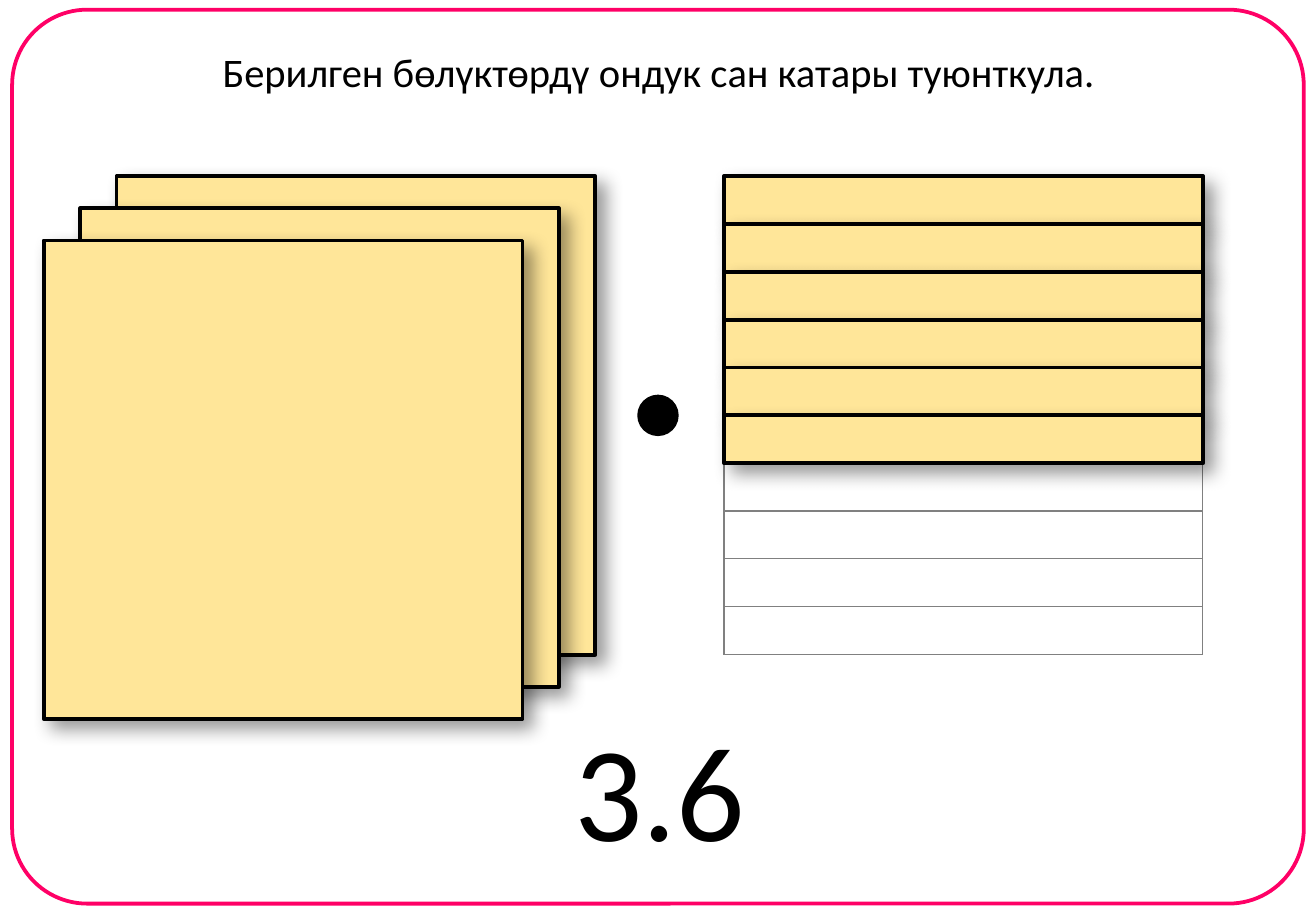
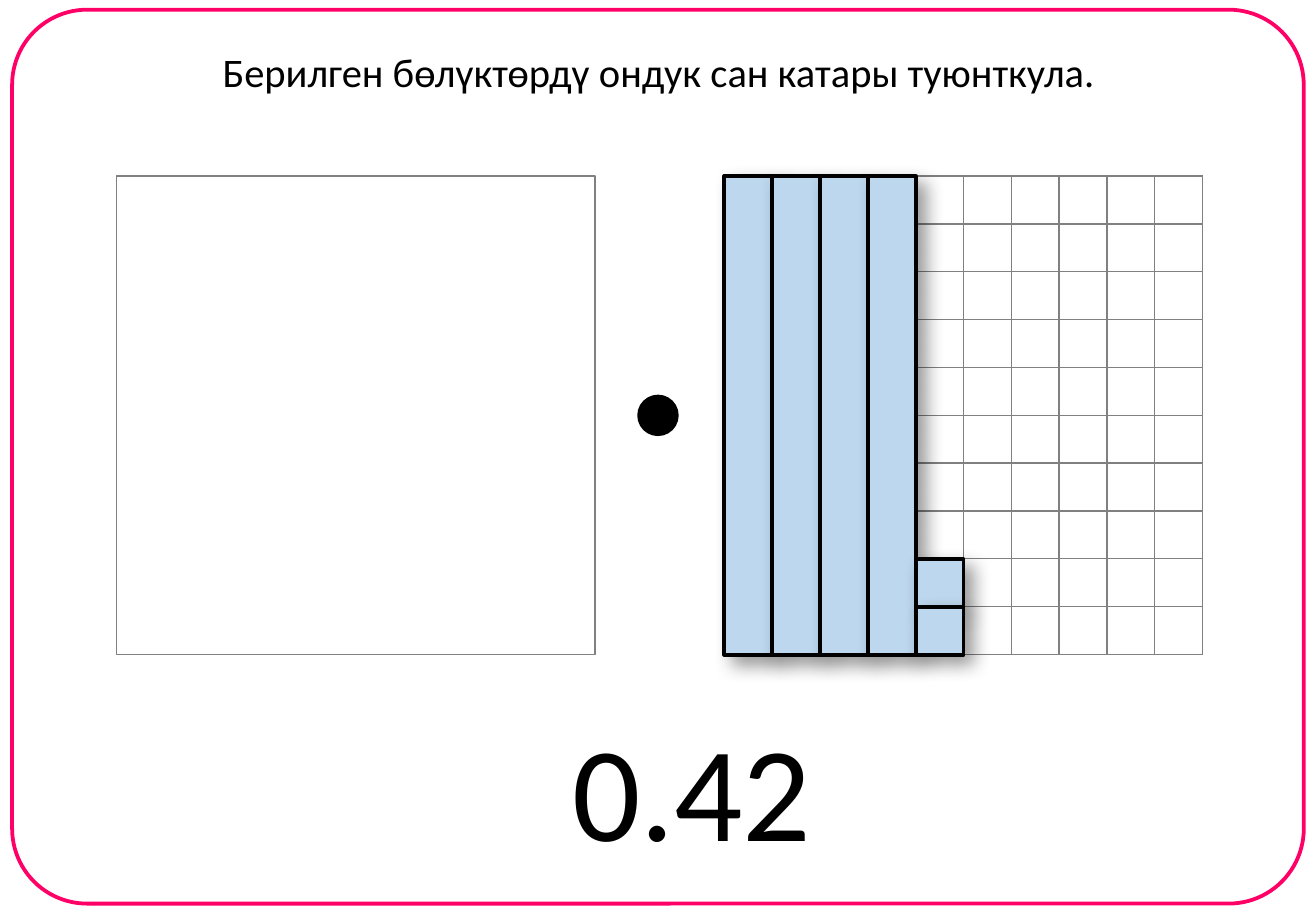
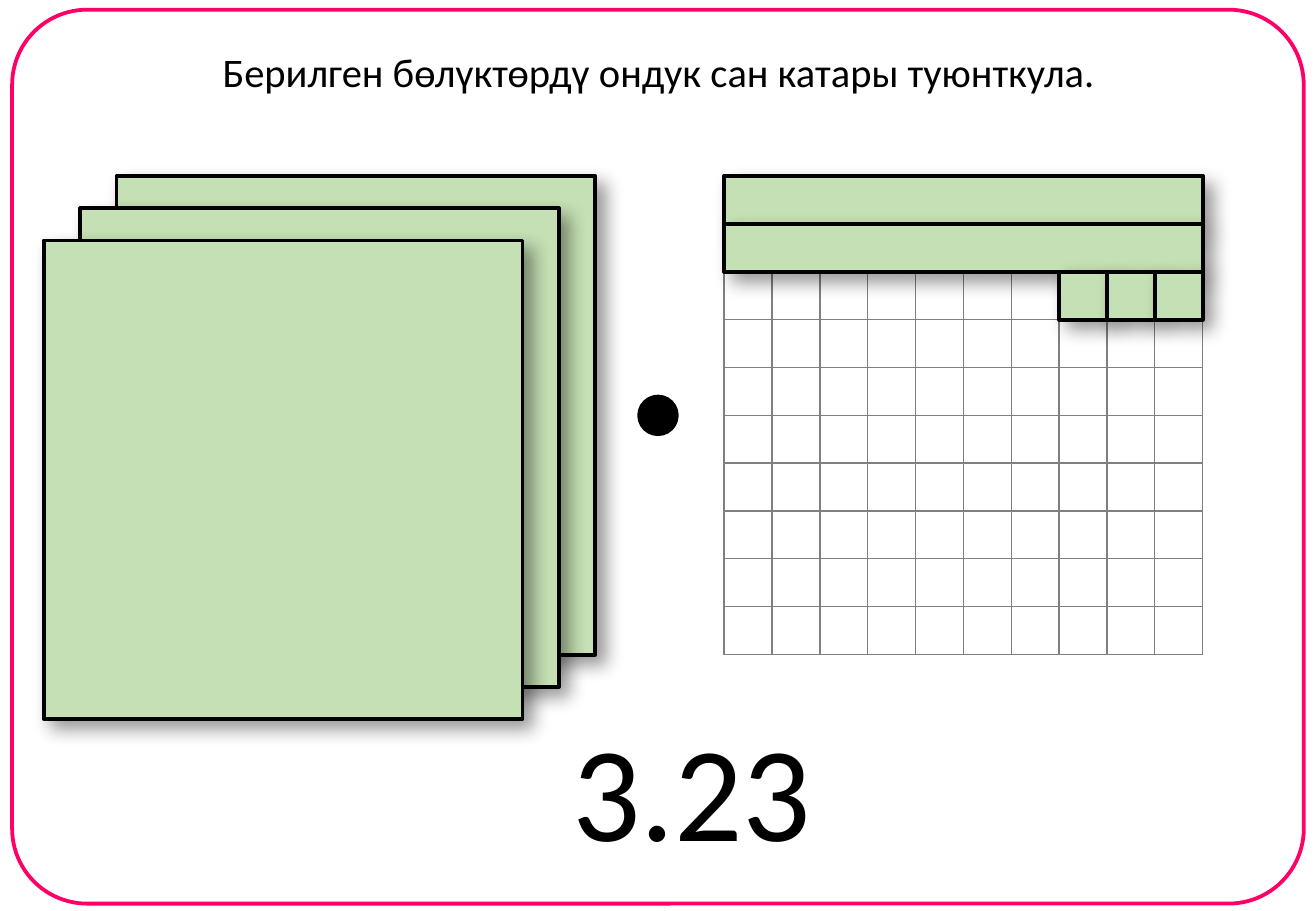
from dataclasses import dataclass

from lxml.etree import SubElement
from pptx import Presentation
from pptx.dml.color import RGBColor
from pptx.enum.shapes import MSO_SHAPE
from pptx.enum.text import MSO_AUTO_SIZE, PP_ALIGN
from pptx.oxml.ns import qn
from pptx.shapes.autoshape import Shape
from pptx.slide import Slide
from pptx.table import _Cell
from pptx.util import Inches, Pt

COLOURS = {
    "frame": "FF0066",
    "ink": "000000",
    "grid": "808080",
    "paper": "FFFFFF",
    "yellow": "FFE699",
    "blue": "BDD7EE",
    "green": "C5E0B4",
}
FONT = "Calibri"
INSTRUCTION = "Берилген бөлүктөрдү ондук сан катары туюнткула."

SLIDE_WIDTH, SLIDE_HEIGHT = 10.83, 7.5
DIVISIONS = 10
WHOLE = 3.94
UNIT = WHOLE / DIVISIONS
TOP = 1.45
WHOLE_LEFT = 0.96
GRID_LEFT = 5.96
STACK_STEP = (-0.3, 0.265)
POINT_SIZE = 0.31


@dataclass(frozen=True)
class Box:
    left: float
    top: float
    width: float
    height: float


@dataclass(frozen=True)
class Parts:
    count: int
    column: int
    row: int
    columns: int
    rows: int
    across: bool


@dataclass(frozen=True)
class Exercise:
    answer: str
    answer_box: Box
    colour: str
    wholes: int
    tenths: Parts
    hundredths: Parts | None = None
    undivided_rows: int = 0


SHORT_ANSWER = Box(4.62, 5.77, 1.62, 1.45)
LONG_ANSWER = Box(4.6, 5.77, 2.19, 1.45)
EXERCISES = [
    Exercise("3.6", SHORT_ANSWER, "yellow", 3,
             Parts(6, 0, 0, DIVISIONS, 1, False), undivided_rows=4),
    Exercise("0.42", LONG_ANSWER, "blue", 0,
             Parts(4, 0, 0, 1, DIVISIONS, True), Parts(2, 4, 8, 1, 1, False)),
    Exercise("3.23", LONG_ANSWER, "green", 3,
             Parts(2, 0, 0, DIVISIONS, 1, False), Parts(3, 7, 2, 1, 1, True)),
]


def rgb(colour: str) -> RGBColor:
    return RGBColor.from_string(COLOURS[colour])


def place(box: Box) -> tuple[int, int, int, int]:
    return Inches(box.left), Inches(box.top), Inches(box.width), Inches(box.height)


def add_outline(slide: Slide, kind: MSO_SHAPE, box: Box, fill: str | None,
                line: str = "ink", weight: float = 2.25) -> Shape:
    shape = slide.shapes.add_shape(kind, *place(box))
    shape.shadow.inherit = False
    if fill:
        shape.fill.solid()
        shape.fill.fore_color.rgb = rgb(fill)
    else:
        shape.fill.background()
    shape.line.color.rgb = rgb(line)
    shape.line.width = Pt(weight)
    return shape


def add_piece(slide: Slide, box: Box, colour: str) -> None:
    piece = add_outline(slide, MSO_SHAPE.RECTANGLE, box, colour)
    effects = piece._element.spPr.find(qn("a:effectLst"))
    shadow = SubElement(effects, qn("a:outerShdw"), blurRad=str(Pt(11)), dist=str(Pt(7)),
                        dir="2700000", algn="tl", rotWithShape="0")
    shade = SubElement(shadow, qn("a:srgbClr"), val=COLOURS["ink"])
    SubElement(shade, qn("a:alpha"), val="40000")


def add_frame(slide: Slide) -> None:
    frame = add_outline(slide, MSO_SHAPE.ROUNDED_RECTANGLE,
                        Box(0.1, 0.08, SLIDE_WIDTH - 0.2, 7.36), None, "frame")
    frame.adjustments[0] = 0.084


def add_words(slide: Slide, words: str, box: Box, size: int) -> None:
    frame = slide.shapes.add_textbox(*place(box)).text_frame
    frame.word_wrap = False
    frame.auto_size = MSO_AUTO_SIZE.SHAPE_TO_FIT_TEXT
    frame.text = words
    paragraph = frame.paragraphs[0]
    paragraph.alignment = PP_ALIGN.CENTER
    font = paragraph.runs[0].font
    font.name = FONT
    font.size = Pt(size)
    font.color.rgb = rgb("ink")


def style_cell(cell: _Cell) -> None:
    cell.margin_top = cell.margin_bottom = 0
    properties = cell._tc.get_or_add_tcPr()
    for side in ("lnL", "lnR", "lnT", "lnB"):
        border = SubElement(properties, qn(f"a:{side}"), w=str(Pt(1)))
        SubElement(SubElement(border, qn("a:solidFill")), qn("a:srgbClr"), val=COLOURS["grid"])
    cell.fill.solid()
    cell.fill.fore_color.rgb = rgb("paper")


def add_grid(slide: Slide, undivided_rows: int) -> None:
    table = slide.shapes.add_table(
        DIVISIONS, DIVISIONS, *place(Box(GRID_LEFT, TOP, WHOLE, WHOLE))).table
    table.first_row = table.horz_banding = False
    for cell in table.iter_cells():
        style_cell(cell)
    for row in range(DIVISIONS - undivided_rows, DIVISIONS):
        table.cell(row, 0).merge(table.cell(row, DIVISIONS - 1))


def add_wholes(slide: Slide, count: int, colour: str) -> None:
    if not count:
        add_outline(slide, MSO_SHAPE.RECTANGLE, Box(WHOLE_LEFT, TOP, WHOLE, WHOLE),
                    "paper", "grid", 1)
    step_x, step_y = STACK_STEP
    for index in range(count):
        add_piece(slide, Box(WHOLE_LEFT + index * step_x, TOP + index * step_y, WHOLE, WHOLE),
                  colour)


def add_parts(slide: Slide, parts: Parts, colour: str) -> None:
    for index in range(parts.count):
        column = parts.column + index * parts.across
        row = parts.row + index * (not parts.across)
        add_piece(slide, Box(GRID_LEFT + column * UNIT, TOP + row * UNIT,
                             parts.columns * UNIT, parts.rows * UNIT), colour)


def add_exercise(slide: Slide, exercise: Exercise) -> None:
    add_frame(slide)
    add_grid(slide, exercise.undivided_rows)
    add_wholes(slide, exercise.wholes, exercise.colour)
    add_parts(slide, exercise.tenths, exercise.colour)
    if exercise.hundredths:
        add_parts(slide, exercise.hundredths, exercise.colour)
    add_outline(slide, MSO_SHAPE.OVAL,
                Box((SLIDE_WIDTH - POINT_SIZE) / 2, TOP + (WHOLE - POINT_SIZE) / 2,
                    POINT_SIZE, POINT_SIZE), "ink")
    add_words(slide, exercise.answer, exercise.answer_box, 80)
    add_words(slide, INSTRUCTION, Box(1.69, 0.34, 7.46, 0.5), 24)


def main() -> None:
    deck = Presentation()
    deck.slide_width = Inches(SLIDE_WIDTH)
    deck.slide_height = Inches(SLIDE_HEIGHT)
    blank = deck.slide_layouts[6]
    for exercise in EXERCISES:
        add_exercise(deck.slides.add_slide(blank), exercise)
    deck.save("out.pptx")


if __name__ == "__main__":
    main()
